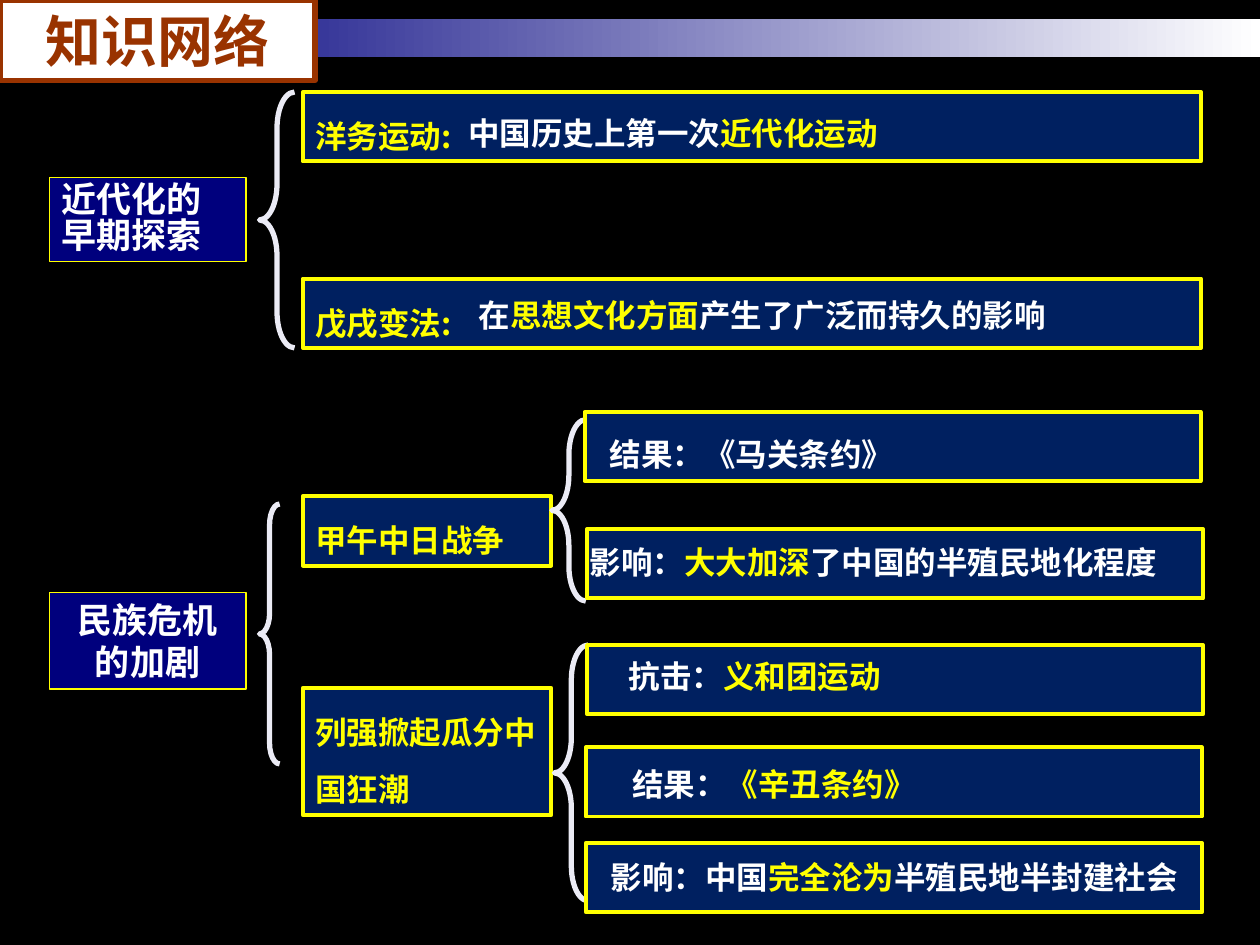
import pptx
import pptx.util
import pptx.dml.color
import pptx.enum.shapes
import pptx.enum.text
import pptx.oxml.ns
from lxml import etree

Pt = pptx.util.Pt
KIND = pptx.enum.shapes.MSO_SHAPE
ALIGN = pptx.enum.text.PP_ALIGN
TOP = pptx.enum.text.MSO_ANCHOR.TOP
SANS = "Noto Sans CJK SC"
SERIF = "Times New Roman"

COLORS = {
    "back": "000000", "navy": "00007D", "blue": "002060",
    "yellow": "FFFF00", "white": "FFFFFF", "brace": "EBEBF5",
    "brown": "993300",
}


def color(name):
    return pptx.dml.color.RGBColor.from_string(COLORS[name])


def write(shape, parts, size=18, font=SANS, space=0.85, align=ALIGN.LEFT):
    """Fill a shape with one paragraph of (text, color) parts."""
    frame = shape.text_frame
    frame.word_wrap = True
    frame.vertical_anchor = TOP
    para = frame.paragraphs[0]
    para.alignment = align
    para.line_spacing = space
    for text, tint in parts:
        run = para.add_run()
        run.text = text
        run.font.size = Pt(size)
        run.font.bold = True
        run.font.name = font
        run.font.color.rgb = color(tint)
        east = etree.SubElement(run.font._element, pptx.oxml.ns.qn("a:ea"))
        east.set("typeface", SANS)


def add_box(slide, left, top, width, height, fill, line, weight):
    box = slide.shapes.add_shape(
        KIND.RECTANGLE, Pt(left), Pt(top), Pt(width), Pt(height))
    box.shadow.inherit = False
    box.fill.solid()
    box.fill.fore_color.rgb = color(fill)
    box.line.color.rgb = color(line)
    box.line.width = Pt(weight)
    return box


def add_panel(slide, left, top, width, height=39.6):
    return add_box(slide, left, top, width, height, "blue", "yellow", 2.25)


def add_brace(slide, left, top, width, height):
    brace = slide.shapes.add_shape(
        KIND.LEFT_BRACE, Pt(left), Pt(top), Pt(width), Pt(height))
    brace.shadow.inherit = False
    brace.adjustments[0] = 1.03
    brace.adjustments[1] = 0.5
    brace.fill.background()
    brace.line.color.rgb = color("brace")
    brace.line.width = Pt(3)


def add_note(slide, left, top, width, parts, font=SANS, space=0.85):
    note = slide.shapes.add_textbox(Pt(left), Pt(top), Pt(width), Pt(26))
    write(note, parts, font=font, space=space)


def add_band(slide):
    band = slide.shapes.add_shape(
        KIND.RECTANGLE, Pt(32.4), Pt(10.8), Pt(687.6), Pt(21.6))
    band.shadow.inherit = False
    band.line.fill.background()
    band.fill.gradient()
    band.fill.gradient_angle = 0
    for stop, name, place in zip(
            band.fill.gradient_stops, ("navy", "white"), (0, 1)):
        stop.color.rgb = color(name)
        stop.position = place


def main():
    deck = pptx.Presentation()
    deck.slide_width, deck.slide_height = Pt(720), Pt(540)
    slide = deck.slides.add_slide(deck.slide_layouts[6])
    slide.background.fill.solid()
    slide.background.fill.fore_color.rgb = color("back")

    # Header
    add_band(slide)
    title = add_box(slide, 0, 0, 180, 46, "white", "brown", 3)
    write(title, [("知识网络", "brown")], 32, SERIF, 1, ALIGN.CENTER)

    # Main topics
    for text, top, height, space, align in (
            ("近代化的早期探索", 101.5, 48, 0.85, ALIGN.LEFT),
            ("民族危机的加剧", 338.4, 55.4, 1, ALIGN.CENTER)):
        topic = add_box(slide, 28.1, top, 112.5, height,
                        "navy", "yellow", 0.75)
        write(topic, [(text, "white")], 20, SANS, space, align)

    # Branches
    for text, top, width, height in (
            ("洋务运动:", 52.6, 513.4, 39.6),
            ("戊戌变法:", 159.2, 513.4, 39.6),
            ("甲午中日战争", 283.6, 142, 39.6),
            ("列强掀起瓜分中国狂潮", 393.1, 142, 72.7)):
        branch = add_panel(slide, 173, top, width, height)
        write(branch, [(text, "yellow")], space=1.5)

    # Braces
    for place in ((148.3, 52.6, 20, 146.2), (148.3, 288, 11.5, 148.5),
                  (315.4, 239.8, 19.4, 103.7), (316.8, 368.6, 19.4, 146.2)):
        add_brace(slide, *place)

    # Panels behind the details
    for left, top in ((334.1, 235.4), (335.5, 302.4), (335.5, 368.6),
                      (334.8, 427), (334.8, 481.7)):
        add_panel(slide, left, top, 352)

    # Details
    add_note(slide, 260.6, 64.8, 309.6,
             [("中国历史上第一次", "white"), ("近代化运动", "yellow")], SERIF)
    add_note(slide, 266.4, 154.8, 397.4,
             [("在", "white"), ("思想文化方面", "yellow"),
              ("产生了广泛而持久的影响", "white")], space=1.5)
    for left, top, width, parts in (
            (341.3, 248.4, 292.3, [("结果：《马关条约》", "white")]),
            (329.8, 310.3, 362.9,
             [("影响：", "white"), ("大大加深", "yellow"),
              ("了中国的半殖民地化程度", "white")]),
            (352.1, 375.1, 262.1,
             [("抗击：", "white"), ("义和团运动", "yellow")]),
            (354.2, 437, 257.8,
             [("结果：", "white"), ("《辛丑条约》", "yellow")]),
            (342, 490.3, 344.9,
             [("影响：中国", "white"), ("完全沦为", "yellow"),
              ("半殖民地半封建社会", "white")])):
        add_note(slide, left, top, width, parts)

    deck.save("out.pptx")


if __name__ == "__main__":
    main()
